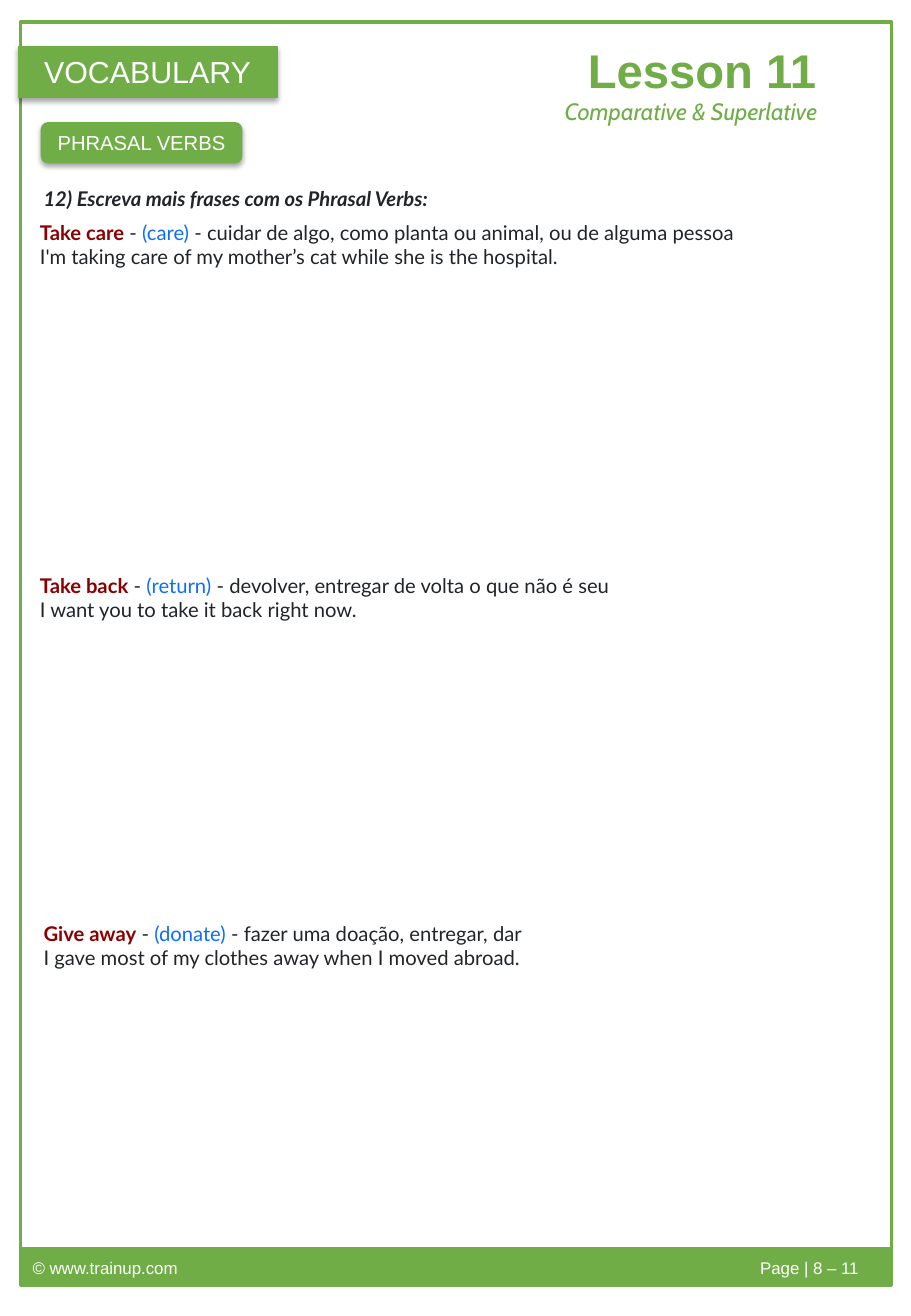
from lxml.etree import SubElement
from pptx import Presentation
from pptx.dml.color import RGBColor
from pptx.enum.shapes import MSO_SHAPE
from pptx.enum.text import MSO_ANCHOR, MSO_AUTO_SIZE, PP_ALIGN
from pptx.oxml.ns import qn
from pptx.util import Inches, Pt

COLORS = {
    "green": "70AD47",
    "white": "FFFFFF",
    "dark": "212529",
    "red": "8B0000",
    "blue": "0D6EFD",
    "shadow": "000000",
}


def rgb(name):
    """Return the named colour of the palette."""
    return RGBColor.from_string(COLORS[name])


def format_paragraph(paragraph, font_name, size, color, bold=False, italic=False):
    font = paragraph.font
    font.name, font.size = font_name, Pt(size)
    font.bold, font.italic = bold, italic
    font.color.rgb = rgb(color)


presentation = Presentation()
presentation.slide_width = Inches(7.5)
presentation.slide_height = Inches(10.83)
slide = presentation.slides.add_slide(presentation.slide_layouts[5])

# Page frame and footer bar
frame = slide.shapes.add_shape(
    MSO_SHAPE.RECTANGLE, Inches(0.17), Inches(0.18), Inches(7.17), Inches(10.39))
frame.fill.background()
footer = slide.shapes.add_shape(
    MSO_SHAPE.RECTANGLE, Inches(0.17), Inches(10.28), Inches(7.17), Inches(0.3))
footer.fill.solid()
footer.fill.fore_color.rgb = rgb("green")
for shape in (frame, footer):
    shape.shadow.inherit = False
    shape.line.color.rgb = rgb("green")
    shape.line.width = Pt(2)

footer.text_frame.vertical_anchor = MSO_ANCHOR.MIDDLE
paragraph = footer.text_frame.paragraphs[0]
paragraph.text = "© www.trainup.com\tPage | 8 – 11"
paragraph.alignment = PP_ALIGN.LEFT
tab_list = SubElement(paragraph._p.get_or_add_pPr(), qn("a:tabLst"))
SubElement(tab_list, qn("a:tab"), pos=str(Inches(6.8)), algn="r")
format_paragraph(paragraph, "Arial", 10, "white")

# Section labels with a soft shadow
labels = [
    ("VOCABULARY", 18, 0.15, 0.38, 2.13, 0.42, 0),
    ("PHRASAL VERBS", 12, 0.34, 1.01, 1.65, 0.33, 0.17),
]
for text, size, left, top, width, height, rounding in labels:
    label = slide.shapes.add_shape(
        MSO_SHAPE.ROUNDED_RECTANGLE,
        Inches(left), Inches(top), Inches(width), Inches(height))
    label.adjustments[0] = rounding
    label.fill.solid()
    label.fill.fore_color.rgb = rgb("green")
    label.line.color.rgb = rgb("green")
    label.line.width = Pt(0.75)
    label.shadow.inherit = False
    effects = label._element.spPr.find(qn("a:effectLst"))
    shadow = SubElement(
        effects, qn("a:outerShdw"), blurRad=str(Pt(3.1)), dist=str(Pt(1.8)),
        dir="5400000", algn="t", rotWithShape="0")
    shadow_color = SubElement(shadow, qn("a:srgbClr"), val=COLORS["shadow"])
    SubElement(shadow_color, qn("a:alpha"), val="35000")
    label.text_frame.vertical_anchor = MSO_ANCHOR.MIDDLE
    label.text_frame.word_wrap = False
    paragraph = label.text_frame.paragraphs[0]
    paragraph.text = text
    paragraph.alignment = PP_ALIGN.CENTER
    format_paragraph(paragraph, "Arial", size, "white")

# Lesson title, subtitle and exercise instruction
title = slide.shapes.title
title.left, title.top = Inches(4.74), Inches(0.29)
title.width, title.height = Inches(2.11), Inches(0.57)
subtitle = slide.shapes.add_textbox(Inches(4.55), Inches(0.75), Inches(2.5), Inches(0.34))
instruction = slide.shapes.add_textbox(Inches(0.26), Inches(1.48), Inches(6.31), Inches(0.3))
headings = [
    (title, "Lesson 11", "Arial", 28, "green", True, False),
    (subtitle, "Comparative & Superlative", "Cabin", 14, "green", False, True),
    (instruction, "12) Escreva mais frases com os Phrasal Verbs:", "Lato", 12, "dark", True, True),
]
for shape, text, font_name, size, color, bold, italic in headings:
    text_frame = shape.text_frame
    text_frame.word_wrap = shape is instruction
    text_frame.auto_size = MSO_AUTO_SIZE.SHAPE_TO_FIT_TEXT
    text_frame.vertical_anchor = MSO_ANCHOR.TOP
    paragraph = text_frame.paragraphs[0]
    paragraph.text = text
    paragraph.alignment = PP_ALIGN.LEFT
    format_paragraph(paragraph, font_name, size, color, bold, italic)

# Phrasal verbs: verb, synonym, meaning and example sentence
phrasal_verbs = [
    (0.23, 1.76, "Take care", "(care)",
     "cuidar de algo, como planta ou animal, ou de alguma pessoa",
     "I'm taking care of my mother’s cat while she is the hospital."),
    (0.23, 4.67, "Take back", "(return)",
     "devolver, entregar de volta o que não é seu",
     "I want you to take it back right now."),
    (0.26, 7.53, "Give away", "(donate)",
     "fazer uma doação, entregar, dar",
     "I gave most of my clothes away when I moved abroad."),
]
for left, top, verb, synonym, meaning, example in phrasal_verbs:
    entry = slide.shapes.add_textbox(Inches(left), Inches(top), Inches(6.31), Inches(0.5))
    entry.text_frame.word_wrap = True
    entry.text_frame.auto_size = MSO_AUTO_SIZE.SHAPE_TO_FIT_TEXT
    paragraph = entry.text_frame.paragraphs[0]
    format_paragraph(paragraph, "Lato", 12, "dark")
    verb_run = paragraph.add_run()
    verb_run.text = verb
    verb_run.font.bold = True
    verb_run.font.color.rgb = rgb("red")
    paragraph.add_run().text = " - "
    synonym_run = paragraph.add_run()
    synonym_run.text = synonym
    synonym_run.font.color.rgb = rgb("blue")
    paragraph.add_run().text = f" - {meaning}"
    paragraph.add_line_break()
    paragraph.add_run().text = example

presentation.save("out.pptx")
